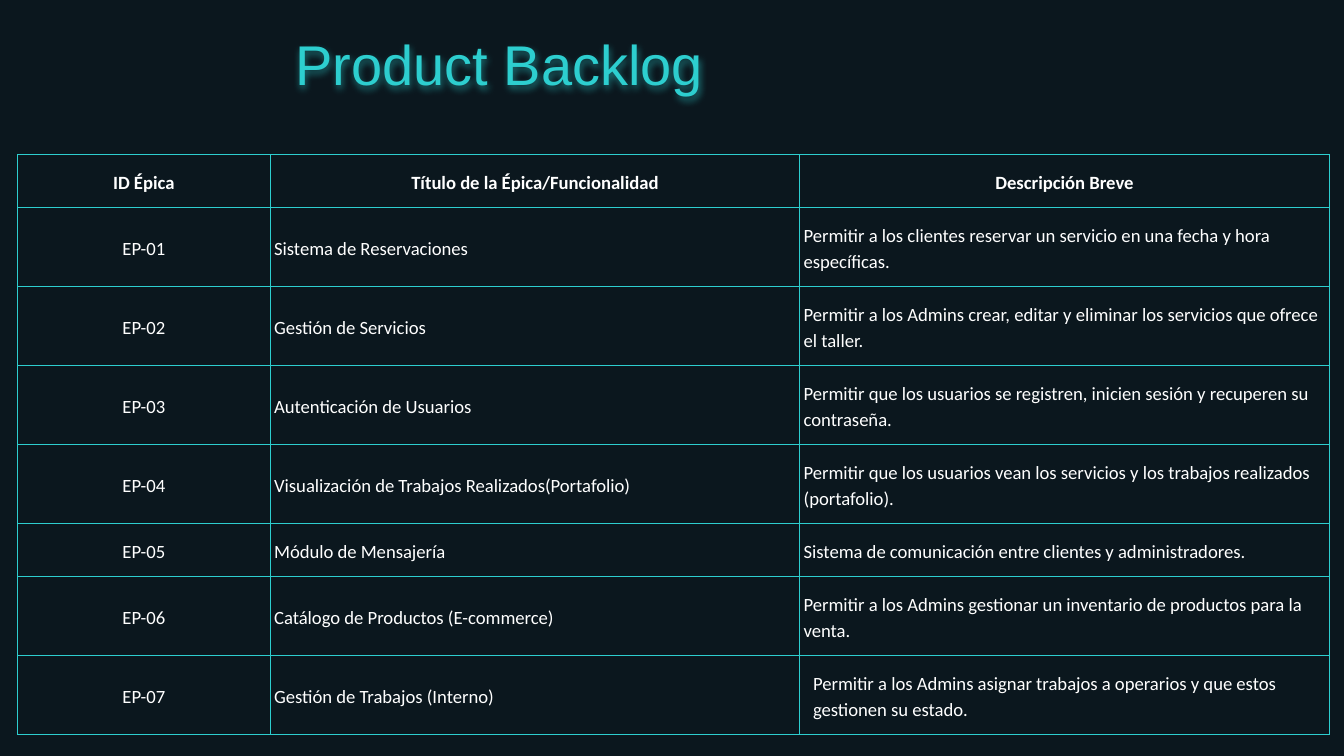
"""Build a product backlog slide with a title and a table of epics."""
from dataclasses import dataclass

from lxml import etree
from pptx import Presentation, util as u
from pptx.dml.color import RGBColor
from pptx.enum import text
from pptx.oxml import ns

TITLE = "Product Backlog"
HEADERS = ("ID Épica", "Título de la Épica/Funcionalidad", "Descripción Breve")
EPICS = [
    ("Sistema de Reservaciones",
     "Permitir a los clientes reservar un servicio en una fecha y hora específicas."),
    ("Gestión de Servicios",
     "Permitir a los Admins crear, editar y eliminar los servicios que ofrece el taller."),
    ("Autenticación de Usuarios",
     "Permitir que los usuarios se registren, inicien sesión y recuperen su contraseña."),
    ("Visualización de Trabajos Realizados(Portafolio)",
     "Permitir que los usuarios vean los servicios y los trabajos realizados (portafolio)."),
    ("Módulo de Mensajería",
     "Sistema de comunicación entre clientes y administradores."),
    ("Catálogo de Productos (E-commerce)",
     "Permitir a los Admins gestionar un inventario de productos para la venta."),
    ("Gestión de Trabajos (Interno)",
     "Permitir a los Admins asignar trabajos a operarios y que estos gestionen su estado."),
]
SLIDE_WIDTH = 10
SLIDE_HEIGHT = SLIDE_WIDTH * 9 / 16
COLUMNS = (1.88, 3.94, 3.94)
TABLE_LEFT, TABLE_TOP = 0.13, 1.15
ONE_LINE, TWO_LINES = 0.39, 0.58
LINE_LIMIT = 60


@dataclass(frozen=True)
class Theme:
    """Colours, fonts and type sizes."""
    background: str = "0B171E"
    accent: str = "2DCECF"
    body: str = "FFFFFF"
    title_font: str = "Arial"
    body_font: str = "Calibri"
    title_size: int = 30
    body_size: int = 10
    border: float = 0.75


THEME = Theme()


def style(font, name, size, color, bold=False):
    """Set the face, size, colour and weight of a font."""
    font.name, font.size, font.bold = name, u.Pt(size), bold
    font.color.rgb = RGBColor.from_string(color)


def add_color(parent, color, alpha=None):
    """Append a colour, optionally translucent, to an XML element."""
    element = etree.SubElement(parent, ns.qn("a:srgbClr"), val=color)
    if alpha:
        etree.SubElement(element, ns.qn("a:alpha"), val=str(alpha * 1000))


def add_title(slide):
    """Place the title and give its letters a soft glow below."""
    title = slide.shapes.title
    title.left, title.top, title.width, title.height = map(u.Inches, (2.1, 0.12, 8.43, 0.63))
    frame = title.text_frame
    frame.text = TITLE
    frame.auto_size = text.MSO_AUTO_SIZE.NONE
    frame.vertical_anchor = text.MSO_ANCHOR.TOP
    frame.margin_left = frame.margin_right = u.Inches(0.1)
    frame.margin_top = frame.margin_bottom = u.Inches(0.1)
    paragraph = frame.paragraphs[0]
    paragraph.alignment = text.PP_ALIGN.LEFT
    style(paragraph.font, THEME.title_font, THEME.title_size, THEME.accent)
    effects = etree.SubElement(title.element.spPr, ns.qn("a:effectLst"))
    shadow = etree.SubElement(effects, ns.qn("a:outerShdw"), blurRad=str(u.Pt(4)),
                              dist=str(u.Pt(1.5)), dir="5400000", rotWithShape="0")
    add_color(shadow, THEME.accent, 50)


def add_borders(cell):
    """Draw the four borders of a cell, ahead of its fill."""
    properties = cell._tc.get_or_add_tcPr()
    for position, side in enumerate(("lnL", "lnR", "lnT", "lnB")):
        line = etree.Element(ns.qn(f"a:{side}"), w=str(u.Pt(THEME.border)))
        add_color(etree.SubElement(line, ns.qn("a:solidFill")), THEME.accent)
        properties.insert(position, line)


def fill_cell(cell, content, centered, bold, margin):
    """Write and format one table cell."""
    cell.text = content
    cell.vertical_anchor = text.MSO_ANCHOR.MIDDLE
    cell.margin_left = cell.margin_right = u.Inches(margin)
    cell.margin_top = cell.margin_bottom = u.Inches(0.1)
    cell.fill.background()
    add_borders(cell)
    paragraph = cell.text_frame.paragraphs[0]
    paragraph.alignment = text.PP_ALIGN.CENTER if centered else text.PP_ALIGN.LEFT
    paragraph.line_spacing = 1.15
    style(paragraph.font, THEME.body_font, THEME.body_size, THEME.body, bold)


def add_backlog(slide):
    """Add the table, with rows as tall as their descriptions need."""
    rows = [HEADERS] + [(f"EP-{number:02}", *epic) for number, epic in enumerate(EPICS, 1)]
    heights = [TWO_LINES if len(row[-1]) > LINE_LIMIT else ONE_LINE for row in rows]
    frame = slide.shapes.add_table(len(rows), len(COLUMNS), *map(
        u.Inches, (TABLE_LEFT, TABLE_TOP, sum(COLUMNS), sum(heights))))
    table = frame.table
    table.horz_banding = False
    for column, width in zip(table.columns, COLUMNS):
        column.width = u.Inches(width)
    for r, (row, height) in enumerate(zip(rows, heights)):
        table.rows[r].height = u.Inches(height)
        for c, content in enumerate(row):
            last = r == len(rows) - 1 and c == len(COLUMNS) - 1
            fill_cell(table.cell(r, c), content, r == 0 or c == 0, r == 0,
                      0.1 if last else 0.03)


def main():
    """Create and save the presentation."""
    presentation = Presentation()
    presentation.slide_width = u.Inches(SLIDE_WIDTH)
    presentation.slide_height = u.Inches(SLIDE_HEIGHT)
    slide = presentation.slides.add_slide(presentation.slide_layouts[5])
    slide.background.fill.solid()
    slide.background.fill.fore_color.rgb = RGBColor.from_string(THEME.background)
    add_title(slide)
    add_backlog(slide)
    presentation.save("out.pptx")


if __name__ == "__main__":
    main()
